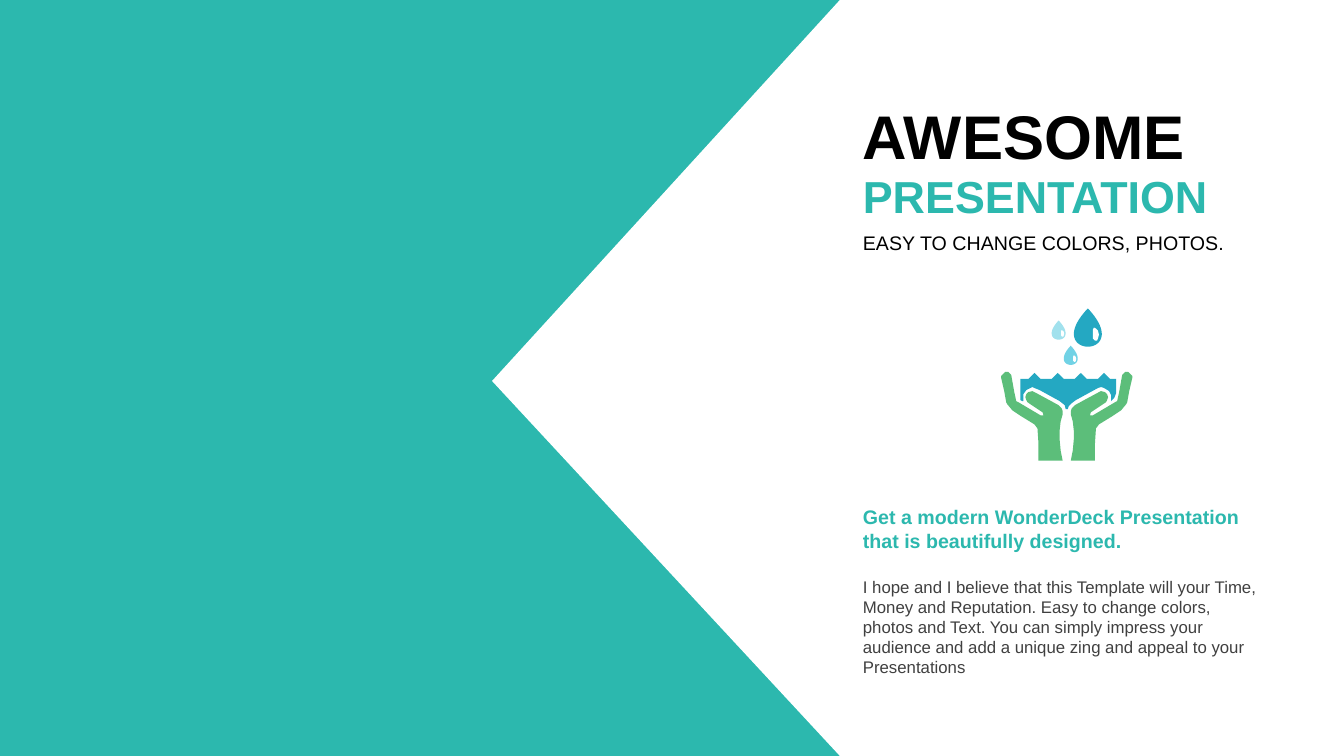
from math import cos, pi, sin

from pptx import Presentation
from pptx.dml.color import RGBColor
from pptx.enum.text import MSO_ANCHOR, MSO_AUTO_SIZE, PP_ALIGN
from pptx.util import Pt

TOP, MIDDLE = MSO_ANCHOR.TOP, MSO_ANCHOR.MIDDLE
LEFT, JUSTIFY = PP_ALIGN.LEFT, PP_ALIGN.JUSTIFY
GROW = MSO_AUTO_SIZE.SHAPE_TO_FIT_TEXT

PX = 9144
WIDTH, HEIGHT = 1333, 750
FONT = "Arial"
BLANK_LAYOUT = 6
TEXT_LEFT = 846
ICON_AXIS = 1058
DROP_STEPS = 48

COLORS = {
    "teal": "2CB8AE",
    "white": "FFFFFF",
    "black": "000000",
    "gray": "404040",
    "green": "5CBE7A",
    "water": "24A8C2",
    "sky": "71D2E5",
    "mist": "A1E1ED",
}

PANEL = [(833, 0), (WIDTH, 0), (WIDTH, HEIGHT), (833, HEIGHT), (488, 378)]

RIGHT_HAND = [
    (1065, 436), (1064, 447), (1062, 457), (1086, 457), (1086, 440),
    (1087, 425), (1090, 421), (1103, 413), (1112, 407), (1117, 401),
    (1118, 399), (1120, 388), (1123, 375), (1123, 373), (1119, 369),
    (1116, 369), (1113, 372), (1110, 389), (1108, 398), (1106, 399),
    (1084, 412), (1081, 412), (1082, 409), (1085, 407), (1097, 399),
    (1098, 397), (1099, 394), (1098, 391), (1096, 389), (1092, 388),
    (1090, 389), (1077, 396), (1066, 402), (1063, 405), (1062, 408),
    (1062, 411), (1064, 418), (1065, 427),
]

WATER_UNDERSIDE = [
    (1107, 390), (1105, 395), (1103, 397), (1102, 398), (1102, 396),
    (1102, 392), (1100, 388), (1095, 385), (1092, 384), (1089, 385),
    (1067, 397), (1063, 400), (1060, 403), (1059, 406), (1057, 406),
    (1056, 402), (1051, 398), (1031, 387), (1026, 385), (1024, 384),
    (1022, 385), (1018, 387), (1015, 391), (1015, 398), (1014, 398),
    (1012, 397),
]
WAVE_CRESTS = [1026, 1049, 1072, 1095]
WATER_LEFT, WATER_RIGHT, WATER_TOP = 1012, 1107, 376

GLINT = [
    (19, 26), (19, 21), (20, 19), (22, 20), (24, 22), (25, 26),
    (24, 30), (23, 32), (21, 32), (19, 30),
]

DROPS = [
    (1065, 306, 1, "water"),
    (1055, 343, 0.5, "sky"),
    (1043, 318, 0.5, "mist"),
]

TEXTS = [
    (92, 428, 84, "AWESOME", 44, "black", True, JUSTIFY, MIDDLE),
    (162, 428, 64, "PRESENTATION", 32, "teal", True, JUSTIFY, MIDDLE),
    (224, 428, 34, "EASY TO CHANGE COLORS, PHOTOS.", 14, "black", False,
     JUSTIFY, TOP),
    (496, 428, 57,
     "Get a modern WonderDeck Presentation that is beautifully designed.",
     14, "teal", True, LEFT, TOP),
    (567, 419, 111,
     "I hope and I believe that this Template will your Time, Money and "
     "Reputation. Easy to change colors, photos and Text. You can simply "
     "impress your audience and add a unique zing and appeal to your "
     "Presentations", 12, "gray", False, LEFT, TOP),
]


def rgb(name):
    return RGBColor.from_string(COLORS[name])


def add_outline(page, points, color):
    start, *rest = [(round(x * PX), round(y * PX)) for x, y in points]
    builder = page.shapes.build_freeform(*start, scale=1.0)
    builder.add_line_segments(rest, close=True)
    outline = builder.convert_to_shape()
    outline.shadow.inherit = False
    outline.fill.solid()
    outline.fill.fore_color.rgb = rgb(color)
    outline.line.fill.background()


def add_drop(page, left, top, size, color):
    angles = [2 * pi * step / DROP_STEPS for step in range(DROP_STEPS)]
    body = [(14 + 18 * sin(angle) * abs(sin(angle / 2)),
             19 - 19 * cos(angle)) for angle in angles]
    for points, fill in ((body, color), (GLINT, "white")):
        placed = [(left + x * size, top + y * size) for x, y in points]
        add_outline(page, placed, fill)


def add_water(page):
    surface = [(WATER_LEFT, WATER_TOP)]
    for crest in WAVE_CRESTS:
        surface += [(crest - 6, WATER_TOP), (crest - 1, 371), (crest, 370),
                    (crest + 1, 371), (crest + 6, WATER_TOP)]
    surface.append((WATER_RIGHT, WATER_TOP))
    add_outline(page, surface + WATER_UNDERSIDE, "water")


def add_hands(page):
    left_hand = [(2 * ICON_AXIS - x, y) for x, y in RIGHT_HAND]
    for hand in (RIGHT_HAND, left_hand):
        add_outline(page, hand, "green")


def add_text(page, top, width, height, text, size, color, bold, align, anchor):
    box = page.shapes.add_textbox(
        TEXT_LEFT * PX, top * PX, width * PX, height * PX)
    frame = box.text_frame
    frame.word_wrap = True
    frame.auto_size = GROW
    frame.vertical_anchor = anchor
    para = frame.paragraphs[0]
    para.alignment = align
    span = para.add_run()
    span.text = text
    span.font.name = FONT
    span.font.size = Pt(size)
    span.font.bold = bold
    span.font.color.rgb = rgb(color)


def main():
    deck = Presentation()
    deck.slide_width = WIDTH * PX
    deck.slide_height = HEIGHT * PX
    page = deck.slides.add_slide(deck.slide_layouts[BLANK_LAYOUT])
    page.background.fill.solid()
    page.background.fill.fore_color.rgb = rgb("teal")
    add_outline(page, PANEL, "white")
    for text in TEXTS:
        add_text(page, *text)
    add_water(page)
    add_hands(page)
    for drop in DROPS:
        add_drop(page, *drop)
    deck.save("out.pptx")


if __name__ == "__main__":
    main()
